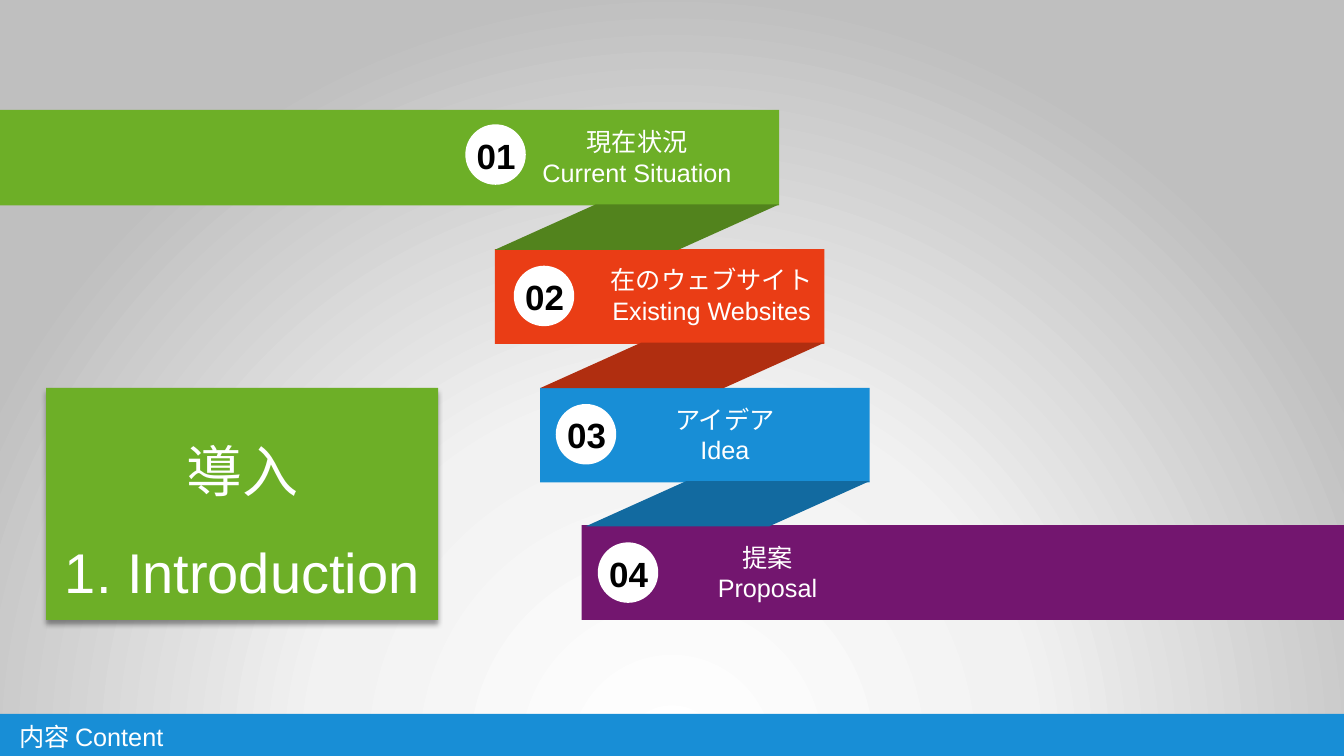
from pptx import Presentation
from pptx.dml.color import RGBColor
from pptx.enum.shapes import MSO_SHAPE
from pptx.enum.text import MSO_ANCHOR, PP_ALIGN
from pptx.oxml import parse_xml
from pptx.oxml.ns import nsdecls
from pptx.util import Pt

COLORS = {
    "green": "6DAF27", "dark green": "52831D",
    "red": "EA3D15", "dark red": "B02E10",
    "blue": "188ED6", "dark blue": "126AA0",
    "purple": "73166F", "white": "FFFFFF", "black": "000000",
    "pale grey": "F2F2F2", "grey": "BFBFBF",
}
FONT = "Arial"


class RibbonSlide:
    """Draws flat shapes and labels on one slide, with lengths in points."""

    def __init__(self, presentation):
        self.slide = presentation.slides.add_slide(presentation.slide_layouts[6])

    def background(self, stops):
        gradient = "".join(
            f'<a:gs pos="{position * 1000}"><a:srgbClr val="{COLORS[color]}"/></a:gs>'
            for position, color in stops)
        self.slide.element.cSld.insert(0, parse_xml(
            f'<p:bg {nsdecls("p", "a")}><p:bgPr><a:gradFill rotWithShape="1">'
            f'<a:gsLst>{gradient}</a:gsLst><a:path path="circle">'
            '<a:fillToRect l="50000" t="130000" r="50000" b="-30000"/></a:path>'
            '</a:gradFill><a:effectLst/></p:bgPr></p:bg>'))

    def block(self, kind, left, top, width, height, color):
        shape = self.slide.shapes.add_shape(
            kind, Pt(left), Pt(top), Pt(width), Pt(height))
        shape.shadow.inherit = False
        shape.fill.solid()
        shape.fill.fore_color.rgb = RGBColor.from_string(COLORS[color])
        shape.line.fill.background()
        return shape

    def fold(self, left, top, color):
        shape = self.block(MSO_SHAPE.PARALLELOGRAM, left, top, 203, 32.4, color)
        shape.adjustments[0] = 2.221

    def drop_shadow(self, shape):
        shape.element.spPr.find("{*}effectLst").append(parse_xml(
            f'<a:outerShdw {nsdecls("a")} blurRad="{Pt(4)}" dist="{Pt(3)}" '
            f'dir="5400000" algn="t" rotWithShape="0"><a:srgbClr val="{COLORS["black"]}">'
            '<a:alpha val="40000"/></a:srgbClr></a:outerShdw>'))

    def set_text(self, shape, lines, size, color="white", bold=False,
                 align=PP_ALIGN.CENTER, anchor=MSO_ANCHOR.TOP, spacing=None):
        frame = shape.text_frame
        frame.word_wrap = True
        frame.vertical_anchor = anchor
        frame.text = "\n".join(lines)
        for paragraph in frame.paragraphs:
            paragraph.alignment = align
            paragraph.line_spacing = spacing
            paragraph.font.name = FONT
            paragraph.font.size = Pt(size)
            paragraph.font.bold = bold
            paragraph.font.color.rgb = RGBColor.from_string(COLORS[color])

    def label(self, left, top, width, height, lines, size, **style):
        box = self.slide.shapes.add_textbox(Pt(left), Pt(top), Pt(width), Pt(height))
        self.set_text(box, lines, size, **style)


def main():
    presentation = Presentation()
    presentation.slide_width, presentation.slide_height = Pt(960), Pt(540)
    ribbon = RibbonSlide(presentation)
    ribbon.background([(0, "white"), (46, "pale grey"), (100, "grey")])

    bars = [
        (0, 78.5, 556.5, 68.2, "green"),
        (353.5, 178, 235.4, 67.7, "red"),
        (385.9, 277, 235.4, 67.7, "blue"),
        (415.5, 375.2, 544.5, 67.7, "purple"),
    ]
    for bar in bars:
        ribbon.block(MSO_SHAPE.RECTANGLE, *bar)

    title = ribbon.block(MSO_SHAPE.RECTANGLE, 33, 277, 280, 165.8, "green")
    ribbon.drop_shadow(title)
    ribbon.set_text(title, ["導入", "1. Introduction"], 40,
                    anchor=MSO_ANCHOR.MIDDLE, spacing=1.5)

    for index, color in enumerate(["dark green", "dark red", "dark blue"]):
        ribbon.fold(353.5 + 32.4 * index, 146 + 98.8 * index, color)

    circles = [(332.4, 88.8), (367, 189.8), (397, 288.6), (427, 387.4)]
    for left, top in circles:
        ribbon.block(MSO_SHAPE.OVAL, left, top, 43.2, 43.2, "white")

    topics = [
        (353.5, 87, 203, ["現在状況", "Current Situation"]),
        (427, 185.5, 162.5, ["在のウェブサイト Existing Websites"]),
        (451.5, 285, 132.5, ["アイデア", "Idea"]),
        (482, 383.8, 132.5, ["提案", "Proposal"]),
    ]
    for left, top, width, lines in topics:
        ribbon.label(left, top, width, 51, lines, 18)

    for number, (left, top) in enumerate(circles, 1):
        ribbon.label(left - 10.4, top + 3.4, 64.8, 37.4, [f"{number:02}"], 25,
                     color="black", bold=True)

    ribbon.block(MSO_SHAPE.RECTANGLE, 0, 510, 960, 30, "blue")
    footer = ribbon.block(MSO_SHAPE.RECTANGLE, 6.5, 511.8, 342, 28.2, "blue")
    ribbon.set_text(footer, ["内容 Content"], 18, align=PP_ALIGN.LEFT)

    presentation.save("out.pptx")


if __name__ == "__main__":
    main()
